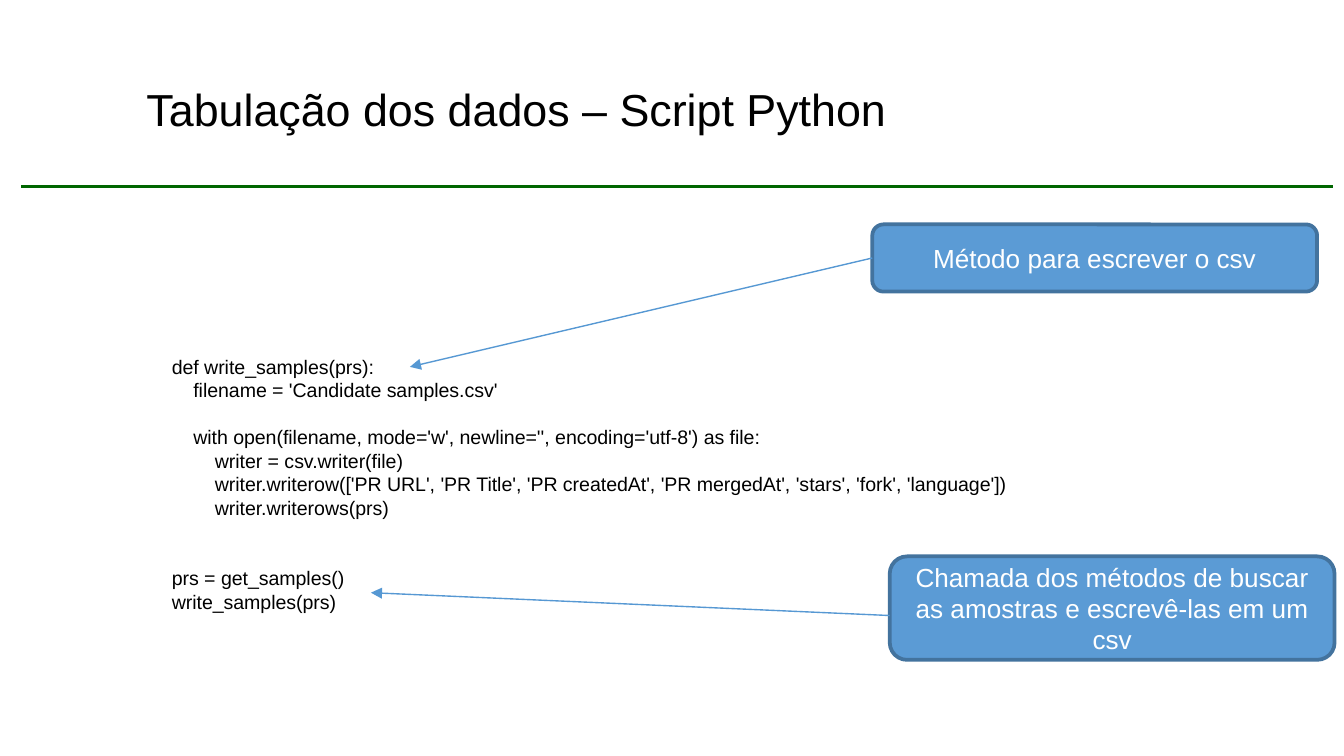
from dataclasses import dataclass

import pptx
import pptx.dml.color
import pptx.enum.shapes
import pptx.enum.text
import pptx.oxml.ns
import pptx.util
from lxml import etree
from pptx.util import Inches

SLIDE_WIDTH = 10
SLIDE_HEIGHT = SLIDE_WIDTH * 9 / 16
FONT = "Arial"
BLACK, WHITE = "000000", "FFFFFF"
RULE_GREEN = "006600"
CALLOUT_FILL, CALLOUT_EDGE, ARROW_BLUE = "5B9BD5", "43739E", "5698D3"
CODE_SIZE = 10.5
CODE_LINE_HEIGHT = 12.6
CODE_INDENT = 0.16


@dataclass
class CodeLine:
    text: str
    level: int = 0
    lines_above: int = 0


@dataclass
class Callout:
    text: str
    left: float
    top: float
    height: float
    arrow_start_y: float
    arrow_tip: tuple[float, float]
    joined: bool
    width: float = 3.31


CODE = [
    CodeLine("def write_samples(prs):"),
    CodeLine("filename = 'Candidate samples.csv'", 1),
    CodeLine("with open(filename, mode='w', newline='', encoding='utf-8') as file:", 1, 1),
    CodeLine("writer = csv.writer(file)", 2),
    CodeLine("writer.writerow(['PR URL', 'PR Title', 'PR createdAt', 'PR mergedAt', "
             "'stars', 'fork', 'language'])", 2),
    CodeLine("writer.writerows(prs)", 2),
    CodeLine("prs = get_samples()", 0, 2),
    CodeLine("write_samples(prs)"),
]

CALLOUTS = [
    Callout("Método para escrever o csv", 6.49, 1.67, 0.5, 1.92, (3.05, 2.73), True),
    Callout("Chamada dos métodos de buscar as amostras e escrevê-las em um csv",
            6.62, 4.14, 0.77, 4.58, (2.76, 4.41), False),
]


def rgb(hex_color: str) -> pptx.dml.color.RGBColor:
    return pptx.dml.color.RGBColor.from_string(hex_color)


def style_text(paragraph, size: float, color: str) -> None:
    for run in paragraph.runs:
        run.font.name = FONT
        run.font.size = pptx.util.Pt(size)
        run.font.color.rgb = rgb(color)


def draw_line(slide, start: tuple[float, float], end: tuple[float, float],
              color: str, width: float, arrow: bool = False):
    line = slide.shapes.add_connector(
        pptx.enum.shapes.MSO_CONNECTOR.STRAIGHT, *map(Inches, start + end))
    line.line.color.rgb = rgb(color)
    line.line.width = pptx.util.Pt(width)
    if arrow:
        etree.SubElement(line.line._get_or_add_ln(),
                         pptx.oxml.ns.qn("a:tailEnd"), type="triangle")
    etree.SubElement(line._element.spPr, pptx.oxml.ns.qn("a:effectLst"))
    return line


def draw_title(slide, text: str) -> None:
    title = slide.shapes.add_textbox(Inches(1.02), Inches(0.29), Inches(8.57), Inches(1.09))
    frame = title.text_frame
    frame.word_wrap = True
    frame.vertical_anchor = pptx.enum.text.MSO_ANCHOR.MIDDLE
    frame.margin_left = frame.margin_right = Inches(0.07)
    frame.margin_top = frame.margin_bottom = Inches(0.04)
    frame.text = text
    frame.paragraphs[0].line_spacing = 0.9
    style_text(frame.paragraphs[0], 24, BLACK)


def draw_code(slide, code: list[CodeLine]) -> None:
    listing = slide.shapes.add_textbox(Inches(1.18), Inches(2.59), Inches(8.88), Inches(3.11))
    frame = listing.text_frame
    frame.word_wrap = True
    frame.text = "\n".join(line.text for line in code)
    for paragraph, line in zip(frame.paragraphs, code):
        paragraph.space_before = pptx.util.Pt(line.lines_above * CODE_LINE_HEIGHT)
        indent = Inches(line.level * CODE_INDENT)
        paragraph._p.get_or_add_pPr().set("marL", str(indent))
        style_text(paragraph, CODE_SIZE, BLACK)


def draw_callout(slide, callout: Callout) -> None:
    """Draw the rounded box and the arrow from it to the code."""
    box = slide.shapes.add_shape(
        pptx.enum.shapes.MSO_SHAPE.ROUNDED_RECTANGLE, Inches(callout.left),
        Inches(callout.top), Inches(callout.width), Inches(callout.height))
    box.shadow.inherit = False
    box.fill.solid()
    box.fill.fore_color.rgb = rgb(CALLOUT_FILL)
    box.line.color.rgb = rgb(CALLOUT_EDGE)
    box.line.width = pptx.util.Pt(2)
    frame = box.text_frame
    frame.word_wrap = True
    frame.vertical_anchor = pptx.enum.text.MSO_ANCHOR.MIDDLE
    frame.text = callout.text
    frame.paragraphs[0].alignment = pptx.enum.text.PP_ALIGN.CENTER
    style_text(frame.paragraphs[0], 14, WHITE)

    arrow = draw_line(slide, (callout.left, callout.arrow_start_y), callout.arrow_tip,
                      ARROW_BLUE, 0.75, arrow=True)
    if callout.joined:
        arrow.begin_connect(box, 1)


def main() -> None:
    deck = pptx.Presentation()
    deck.slide_width, deck.slide_height = Inches(SLIDE_WIDTH), Inches(SLIDE_HEIGHT)
    slide = deck.slides.add_slide(deck.slide_layouts[6])
    draw_line(slide, (0.16, 1.39), (9.92, 1.39), RULE_GREEN, 1.5)
    draw_title(slide, "Tabulação dos dados – Script Python")
    draw_code(slide, CODE)
    for callout in CALLOUTS:
        draw_callout(slide, callout)
    deck.save("out.pptx")


if __name__ == "__main__":
    main()
